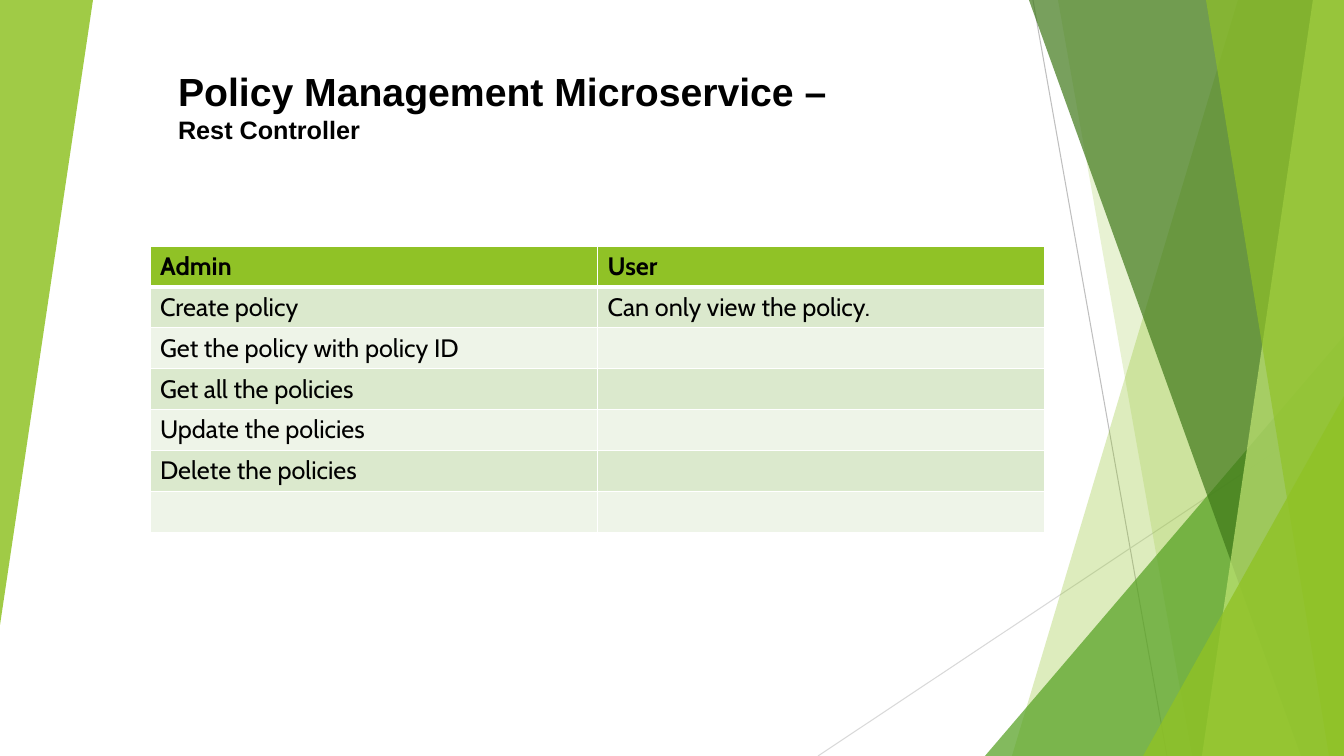
from dataclasses import dataclass

from lxml import etree
from pptx import Presentation
from pptx.dml.color import RGBColor
from pptx.enum.shapes import MSO_CONNECTOR, MSO_SHAPE
from pptx.enum.text import MSO_ANCHOR, PP_ALIGN
from pptx.oxml.ns import qn
from pptx.util import Emu, Pt

STRAIGHT = MSO_CONNECTOR.STRAIGHT
TRIANGLE = MSO_SHAPE.ISOSCELES_TRIANGLE
MIDDLE = MSO_ANCHOR.MIDDLE
LEFT = PP_ALIGN.LEFT
EMU_PER_PX = 914400 / 100.8
WIDTH, HEIGHT = 1344, 756


@dataclass(frozen=True)
class Theme:
    lime: str = "90C226"
    green: str = "54A021"
    forest: str = "3F7819"
    pale: str = "C0E474"
    band_dark: str = "DBE9CD"
    band_light: str = "EEF4E8"
    white: str = "FFFFFF"
    text: str = "000000"
    line_dark: str = "BFBFBF"
    line_light: str = "D9D9D9"
    title_font: str = "Arial"
    body_font: str = "Cabin"
    title_size: int = 28
    body_size: int = 18


THEME = Theme()

ROWS = [
    ("Admin", "User"),
    ("Create policy", "Can only view the policy."),
    ("Get the policy with policy ID", ""),
    ("Get all the policies", ""),
    ("Update the policies", ""),
    ("Delete the policies", ""),
    ("", ""),
]


def px(n):
    return Emu(round(n * EMU_PER_PX))


def rgb(color):
    return RGBColor.from_string(color)


def add_text(p, text, font=THEME.body_font, size=THEME.body_size, bold=False):
    r = p.add_run()
    r.text = text
    r.font.name = font
    r.font.size = Pt(size)
    r.font.bold = bold
    r.font.color.rgb = rgb(THEME.text)


def paint(sp, color, opacity):
    sp.shadow.inherit = False
    sp.line.fill.background()
    sp.fill.solid()
    sp.fill.fore_color.rgb = rgb(color)
    clr = sp.fill._xPr.find(qn("a:solidFill"))[0]
    etree.SubElement(clr, qn("a:alpha"), val=str(opacity * 1000))


def add_line(s, x1, y1, x2, y2, color):
    line = s.shapes.add_connector(STRAIGHT, px(x1), px(y1), px(x2), px(y2))
    line.line.color.rgb = rgb(color)
    line.line.width = Pt(0.75)
    etree.SubElement(line._element.spPr, qn("a:effectLst"))


def add_facet(s, top_x, bottom_x, color, opacity):
    builder = s.shapes.build_freeform(top_x, 0, scale=EMU_PER_PX)
    builder.add_line_segments([(WIDTH, 0), (WIDTH, HEIGHT), (bottom_x, HEIGHT)])
    paint(builder.convert_to_shape(), color, opacity)


def add_triangle(s, x, y, w, h, color, opacity, rotation=0):
    sp = s.shapes.add_shape(TRIANGLE, px(x), px(y), px(w), px(h))
    sp.adjustments[0] = 1
    sp.rotation = rotation
    paint(sp, color, opacity)


def add_title(s):
    title = s.shapes.title
    title.left, title.top, title.width, title.height = map(px, (168, 60, 672, 92))
    tf = title.text_frame
    tf.word_wrap = True
    tf.vertical_anchor = MIDDLE
    p = tf.paragraphs[0]
    p.alignment = LEFT
    add_text(p, "Policy Management Microservice –", font=THEME.title_font,
             size=THEME.title_size, bold=True)
    p.add_line_break()
    add_text(p, "Rest Controller", font=THEME.title_font, bold=True)


def set_border(cell, side, points):
    ln = etree.SubElement(cell._tc.get_or_add_tcPr(), qn(f"a:ln{side}"), w=str(Pt(points)))
    fill = etree.SubElement(ln, qn("a:solidFill"))
    etree.SubElement(fill, qn("a:srgbClr"), val=THEME.white)


def add_policy_table(s, x, y, w, h):
    frame = s.shapes.add_table(len(ROWS), len(ROWS[0]), px(x), px(y), px(w), px(h))
    table = frame.table
    table.horz_banding = False
    for i, row in enumerate(ROWS):
        band = THEME.band_dark if i % 2 else THEME.band_light
        widths = {"L": 1, "R": 1, "T": 3 if i == 1 else 1, "B": 3 if i == 0 else 1}
        for j, text in enumerate(row):
            cell = table.cell(i, j)
            for side, points in widths.items():
                set_border(cell, side, points)
            cell.fill.solid()
            cell.fill.fore_color.rgb = rgb(band if i else THEME.lime)
            if text:
                add_text(cell.text_frame.paragraphs[0], text, bold=i == 0)


def add_backdrop(s):
    add_line(s, 1033, 0, 1167, HEIGHT, THEME.line_dark)
    add_line(s, WIDTH, 406, 818, HEIGHT, THEME.line_light)
    add_facet(s, 1238, 1012, THEME.lime, 30)
    add_facet(s, 1058, 1192, THEME.lime, 20)
    add_triangle(s, 985, 336, 359, 420, THEME.green, 72)
    add_facet(s, 1029, 1301, THEME.forest, 70)
    add_facet(s, 1313, 1202, THEME.pale, 70)
    add_facet(s, 1206, 1329, THEME.lime, 65)
    add_triangle(s, 1143, 396, 201, 360, THEME.lime, 80)
    add_triangle(s, 0, 0, 93, 625, THEME.lime, 85, rotation=180)


def main():
    prs = Presentation()
    prs.slide_width, prs.slide_height = px(WIDTH), px(HEIGHT)
    s = prs.slides.add_slide(prs.slide_layouts[5])
    add_backdrop(s)
    add_title(s)
    add_policy_table(s, 150, 246, 895, 286)
    prs.save("out.pptx")


if __name__ == "__main__":
    main()
